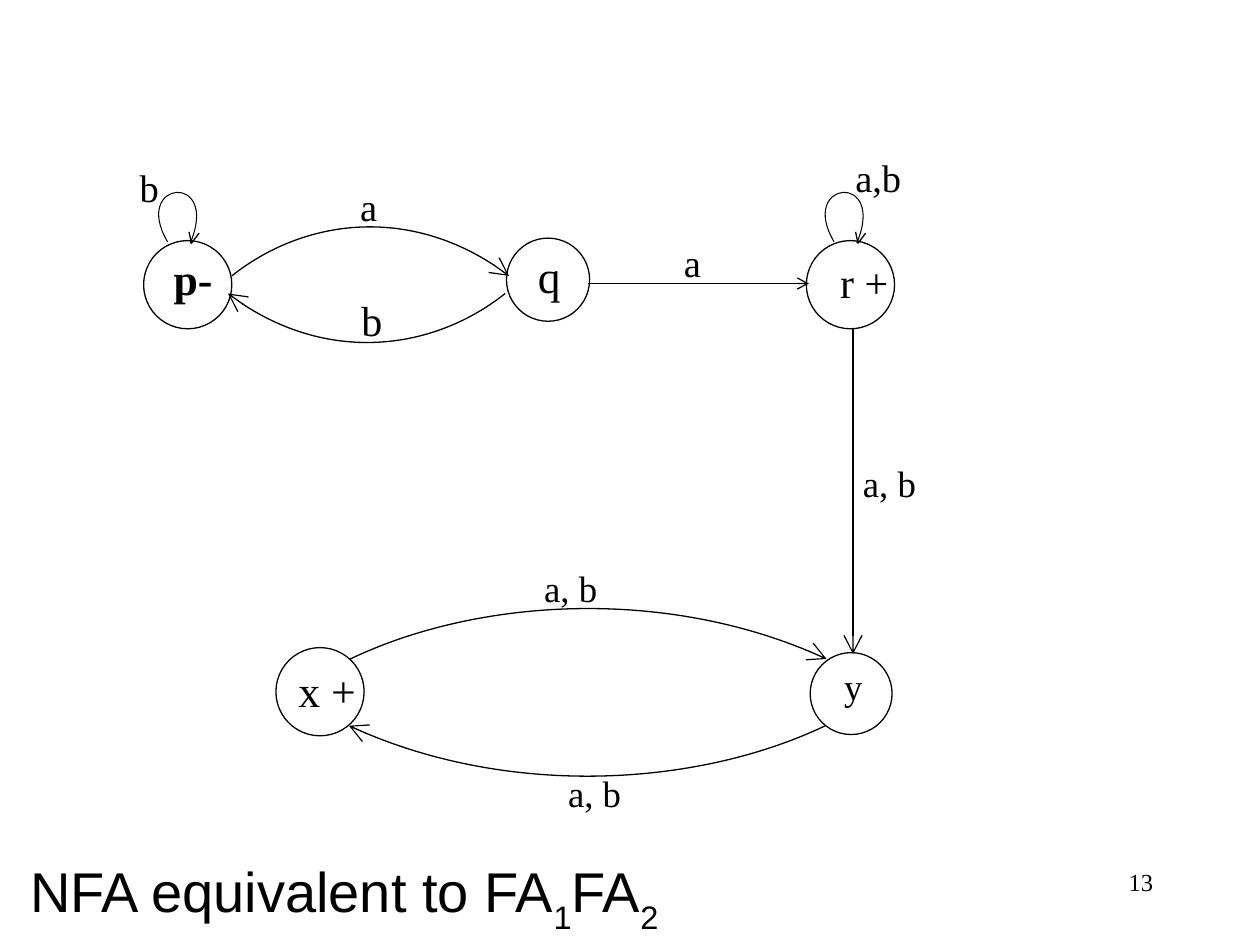
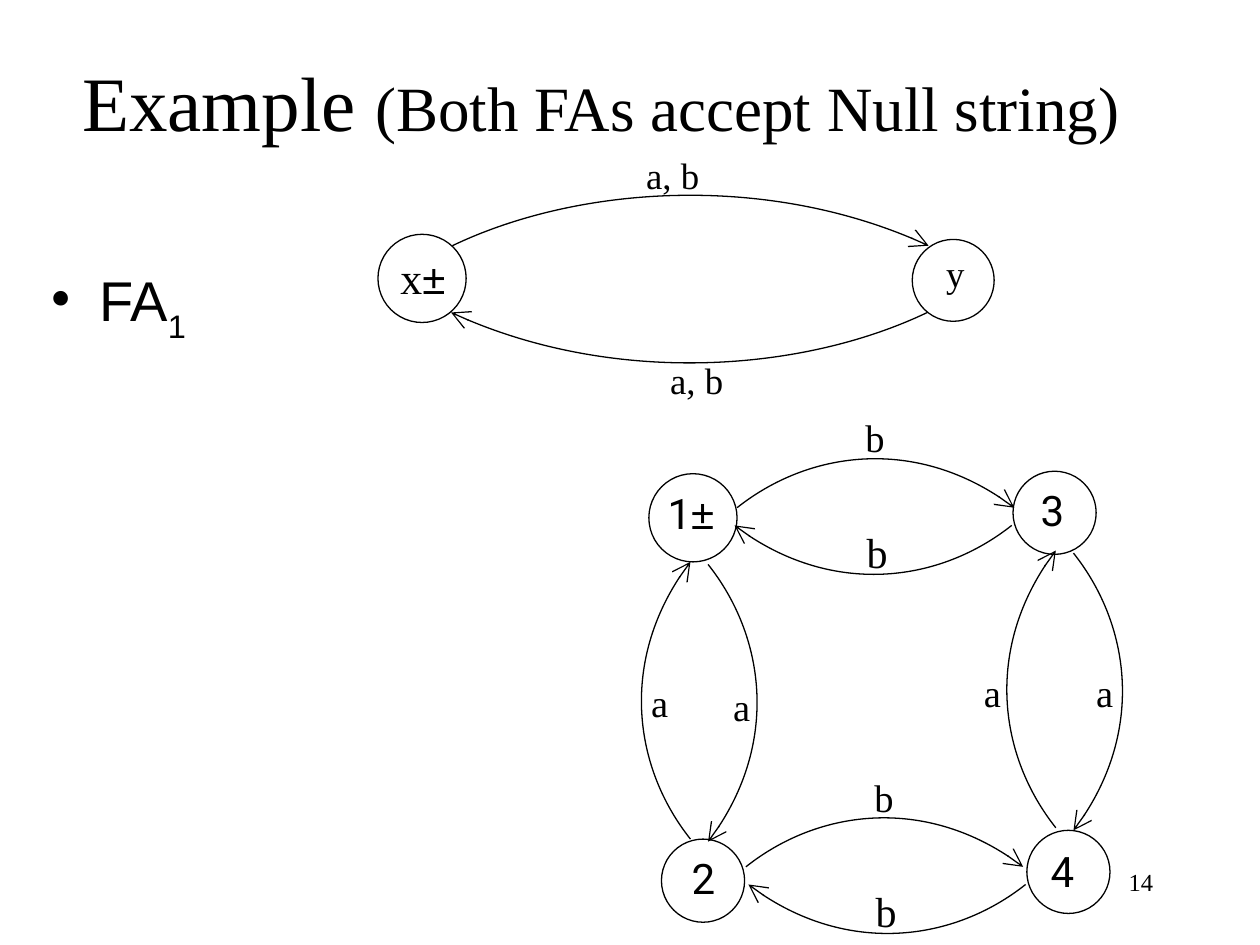
import pptx
import pptx.dml.color
import pptx.enum.shapes
import pptx.enum.text
import pptx.oxml
import pptx.oxml.ns
import pptx.util

COLORS = {"ink": "000000", "paper": "FFFFFF"}
SERIF, SANS, DIGIT = "Times New Roman", "Arial", "Roboto"
SLIDE_WIDTH, SLIDE_HEIGHT = pptx.util.Inches(10), pptx.util.Inches(7.5)
COLUMNS, ROWS = 100, 75
BIG, SMALL = 7, 6.6
LABEL_WIDTH, LABEL_HEIGHT = 9.8, 4.4
ARC = [(0, 1), (0.26, 0.19), (0.67, 0), (1, 1)]
TURNS = {
    "right": lambda x, y: (x, y),
    "left": lambda x, y: (1 - x, 1 - y),
    "down": lambda x, y: (1 - y, x),
    "up": lambda x, y: (y, 1 - x),
}
OPPOSITE = {"right": "left", "down": "up"}


def column(count):
    return round(SLIDE_WIDTH * count / COLUMNS)


def row(count):
    return round(SLIDE_HEIGHT * count / ROWS)


def place(left, top, width, height):
    return column(left), row(top), column(width), row(height)


def color(name):
    return pptx.dml.color.RGBColor.from_string(COLORS[name])


def draw_outline(shape, width=0.75):
    shape.line.color.rgb = color("ink")
    shape.line.width = pptx.util.Pt(width)


def add_arrowhead(shape, size):
    line = shape.line._get_or_add_ln()
    pptx.oxml.ns.qn("a:tailEnd")
    namespace = pptx.oxml.ns.nsdecls("a")
    line.append(pptx.oxml.parse_xml(
        f'<a:tailEnd {namespace} type="arrow" w="{size}" len="{size}"/>'))


def add_text(slide, box, runs, align="LEFT", anchor="TOP"):
    shape = slide.shapes.add_textbox(*place(*box))
    frame = shape.text_frame
    frame.word_wrap = True
    frame.vertical_anchor = getattr(pptx.enum.text.MSO_ANCHOR, anchor)
    paragraph = frame.paragraphs[0]
    paragraph.alignment = getattr(pptx.enum.text.PP_ALIGN, align)
    for text, size, font, *style in runs:
        run = paragraph.add_run()
        run.text = text
        run.font.size = pptx.util.Pt(size)
        run.font.name = font
        run.font.bold = "bold" in style
        run.font.color.rgb = color("ink")
        if "subscript" in style:
            run._r.get_or_add_rPr().set("baseline", "-30000")
    return paragraph


def add_label(slide, left, top, text, size):
    add_text(slide, (left, top, LABEL_WIDTH, LABEL_HEIGHT), [(text, size, SERIF)])


def add_state(slide, left, top, diameter, text_offset, runs):
    oval = pptx.enum.shapes.MSO_SHAPE.OVAL
    shape = slide.shapes.add_shape(oval, *place(left, top, diameter, diameter))
    shape.shadow.inherit = False
    shape.fill.solid()
    shape.fill.fore_color.rgb = color("paper")
    draw_outline(shape)
    across, down = text_offset
    add_text(slide, (left + across, top + down, LABEL_WIDTH, LABEL_HEIGHT), runs)


def add_open_path(slide, points, width=0.75):
    start, *others = [(column(x), row(y)) for x, y in points]
    builder = slide.shapes.build_freeform(*start)
    builder.add_line_segments(others, close=False)
    shape = builder.convert_to_shape()
    shape.shadow.inherit = False
    shape.fill.background()
    draw_outline(shape, width)
    return shape


def add_curve(slide, points, width=0.75):
    shape = add_open_path(slide, points, width)
    segments = list(shape._element.iter(pptx.oxml.ns.qn("a:lnTo")))
    outline = segments[0].getparent()
    namespace = pptx.oxml.ns.nsdecls("a")
    curve = pptx.oxml.parse_xml(f"<a:cubicBezTo {namespace}/>")
    for segment in segments:
        curve.append(segment[0])
        outline.remove(segment)
    outline.append(curve)
    return shape


def add_arc(slide, left, top, length, depth, heading):
    upright = heading in ("up", "down")
    width, height = (depth, length) if upright else (length, depth)
    turned = [TURNS[heading](x, y) for x, y in ARC]
    points = [(left + x * width, top + y * height) for x, y in turned]
    add_arrowhead(add_curve(slide, points), "lg")


def add_two_way(slide, left, top, back, length=22, depth=5.6, heading="right"):
    add_arc(slide, left, top, length, depth, heading)
    add_arc(slide, left + back[0], top + back[1], length, depth, OPPOSITE[heading])


def add_labelled_two_way(slide, left, top, back, labels):
    add_two_way(slide, left, top, back)
    add_label(slide, left + 9.2, top - 2.3, labels[0], 22)
    add_label(slide, left + 9.3, top + 6.6, labels[1], 24)


def add_self_loop(slide, left, top):
    loop = [(0, 0), (-2.9, -4.9), (4.2, -5.6), (1.8, 0.1)]
    head = [(1.7, -0.8), (1.9, 0.1), (2.5, -0.7)]
    add_curve(slide, [(left + x, top + y) for x, y in loop], 0.6)
    add_open_path(slide, [(left + x, top + y) for x, y in head])


def add_arrow(slide, start, end, size):
    straight = pptx.enum.shapes.MSO_CONNECTOR.STRAIGHT
    connector = slide.shapes.add_connector(
        straight, column(start[0]), row(start[1]), column(end[0]), row(end[1]))
    draw_outline(connector)
    add_arrowhead(connector, size)
    namespace = pptx.oxml.ns.nsdecls("a")
    connector._element.spPr.append(
        pptx.oxml.parse_xml(f"<a:effectLst {namespace}/>"))


def add_even_odd_machine(slide, left, top, start_runs):
    add_state(slide, left, top, BIG, (0.8, 0.8), start_runs)
    add_state(slide, left + 42.4, top + 0.4, 6.5, (1.7, 0.4), [("y", 21, SERIF)])
    add_two_way(slide, left + 5.9, top - 4.9, (-0.1, 11.1), 37.8, 5.8)
    add_label(slide, left + 20.3, top - 7, "a, b", 21)
    add_label(slide, left + 22.2, top + 9.3, "a, b", 21)


def add_pqr_machine(slide, left, top):
    add_state(slide, left, top, BIG, (1.4, 0.4), [("p-", 25, SERIF, "bold")])
    add_state(slide, left + 28.8, top - 0.2, SMALL, (1.5, 0.3), [("q", 26, SERIF)])
    add_state(slide, left + 52.6, top, BIG, (1.7, 0.8), [("r +", 24, SERIF)])
    add_labelled_two_way(slide, left + 7, top - 2.8, (-0.3, 7), "ab")
    add_arrow(slide, (left + 35.3, top + 3.4), (left + 52.8, top + 3.4), "med")
    add_label(slide, left + 41.9, top - 0.6, "a", 22)
    add_self_loop(slide, left + 1.9, top + 0.1)
    add_self_loop(slide, left + 54.8, top + 0.1)
    add_label(slide, left - 1.3, top - 6.6, "b", 22)
    add_label(slide, left + 55.5, top - 7.4, "a,b", 22)


def add_square_machine(slide, left, top):
    one = [("1", 24, DIGIT), ("±", 24, SANS)]
    add_state(slide, left, top, BIG, (0.5, 0.6), one)
    for across, down, text_offset, name in (
        (28.9, -0.2, (1.2, 0.6), "3"),
        (1, 29, (1.4, 0.6), "2"),
        (30, 28.3, (0.9, 0.7), "4"),
    ):
        add_state(slide, left + across, top + down, SMALL, text_offset,
                  [(name, 24, DIGIT)])
    add_labelled_two_way(slide, left + 7, top - 2.9, (-0.2, 7), "bb")
    add_labelled_two_way(slide, left + 7.7, top + 25.6, (0.2, 7), "bb")
    for across, down in ((4.7, 7.2), (33.7, 6.3)):
        add_two_way(slide, left + across, top + down, (-7, -0.2), heading="down")
    for across, down in ((-0.8, 15.8), (5.7, 16.1), (25.6, 15), (34.5, 15)):
        add_label(slide, left + across, top + down, "a", 22)


def add_page_number(slide, number):
    add_text(slide, (71.7, 68.3, 20.8, 5), [(str(number), 14, SERIF)], "RIGHT")


def add_title(slide, box):
    add_text(slide, box, [("Example ", 44, SERIF),
                          ("(Both FAs accept Null string)", 36, SERIF)],
             "CENTER", "MIDDLE")


def add_bullet(slide, box):
    paragraph = add_text(slide, box, [("FA", 32, SANS), ("1", 32, SANS, "subscript")])
    paragraph.space_before = pptx.util.Pt(8)
    properties = paragraph._p.get_or_add_pPr()
    properties.set("marL", str(column(3.8)))
    properties.set("indent", str(-column(3.8)))
    namespace = pptx.oxml.ns.nsdecls("a")
    properties.append(pptx.oxml.parse_xml(f'<a:buChar {namespace} char="•"/>'))


def build_product_slide(slide):
    add_text(slide, (1.4, 67.5, 92.5, 5.8), [
        ("NFA equivalent to FA", 32, SANS), ("1", 32, SANS, "subscript"),
        ("FA", 32, SANS), ("2", 32, SANS, "subscript")])
    add_pqr_machine(slide, 11.4, 19.1)
    add_even_odd_machine(slide, 21.9, 51.4, [("x +", 25, SERIF)])
    add_arrow(slide, (67.7, 26), (67.7, 51.9), "lg")
    add_label(slide, 67.5, 36.1, "a, b", 21)
    add_page_number(slide, 13)


def build_example_slide(slide):
    add_bullet(slide, (3.1, 20.6, 25, 8))
    add_title(slide, (5.2, 1.7, 85, 12.5))
    add_square_machine(slide, 51.5, 37.6)
    add_even_odd_machine(slide, 30, 18.6, [("x", 25, SERIF), ("±", 24, SANS)])
    add_page_number(slide, 14)


def main():
    presentation = pptx.Presentation()
    presentation.slide_width = SLIDE_WIDTH
    presentation.slide_height = SLIDE_HEIGHT
    for build in (build_product_slide, build_example_slide):
        build(presentation.slides.add_slide(presentation.slide_layouts[6]))
    presentation.save("out.pptx")


if __name__ == "__main__":
    main()
